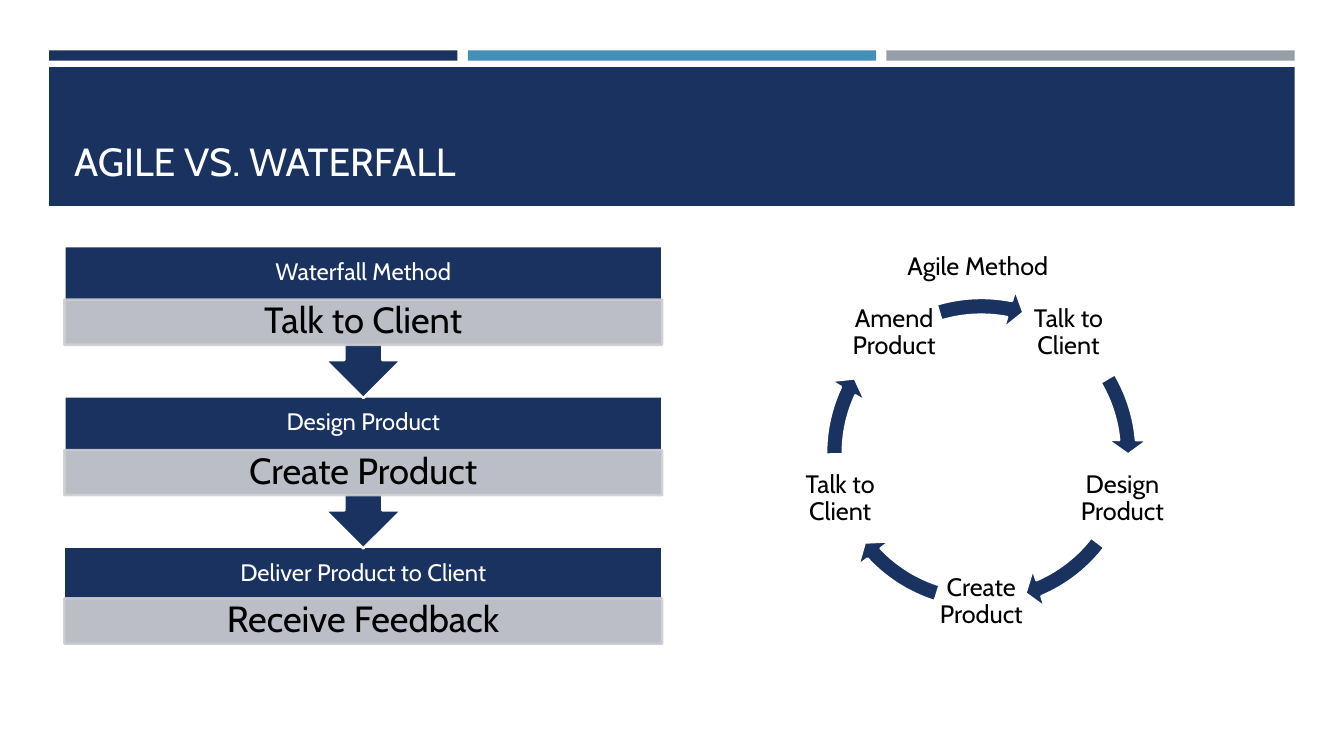
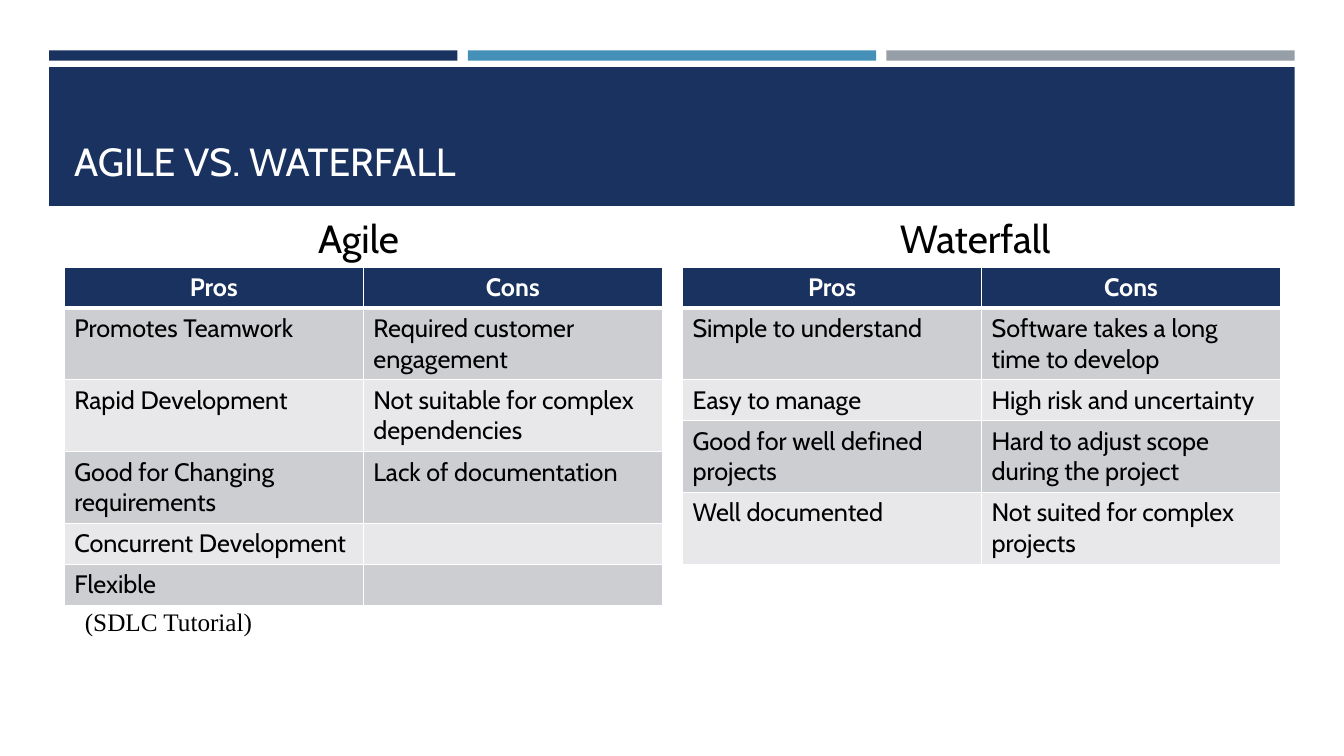
from math import cos, radians, sin

from lxml import etree
from pptx import Presentation
from pptx.dml.color import RGBColor
from pptx.enum.shapes import MSO_SHAPE
from pptx.enum.text import MSO_ANCHOR, PP_ALIGN
from pptx.oxml.ns import qn
from pptx.util import Cm, Pt

NAVY = RGBColor(0x1A, 0x32, 0x60)
BLUE = RGBColor(0x45, 0x90, 0xB8)
GRAY = RGBColor(0x96, 0x9F, 0xA7)
SILVER = RGBColor(0xCD, 0xCE, 0xD2)
PALE = RGBColor(0xE8, 0xE8, 0xEA)
WHITE = RGBColor(0xFF, 0xFF, 0xFF)
BLACK = RGBColor(0x00, 0x00, 0x00)

RECT = MSO_SHAPE.RECTANGLE
CALLOUT = MSO_SHAPE.UP_ARROW_CALLOUT
CIRCULAR = MSO_SHAPE.CIRCULAR_ARROW
LEFT, CENTER = PP_ALIGN.LEFT, PP_ALIGN.CENTER
TOP, MIDDLE, BOTTOM = MSO_ANCHOR.TOP, MSO_ANCHOR.MIDDLE, MSO_ANCHOR.BOTTOM

FONT = "Cabin"
MARGIN = 1.62
COLUMN_W = 15.07
ROW_H = 1.03
TALL_ROW_H = 1.81
LINE_CHARS = 25


def write(tf, text, size=18, color=BLACK, font=FONT, bold=False, align=LEFT, spacing=1.0):
    p = tf.paragraphs[0]
    p.alignment = align
    p.line_spacing = spacing
    r = p.add_run()
    r.text = text
    r.font.size = Pt(size)
    r.font.name = font
    r.font.bold = bold
    r.font.color.rgb = color


class Deck:
    def __init__(self):
        self.prs = Presentation()
        self.prs.slide_width = Cm(33.87)
        self.prs.slide_height = Cm(19.05)
        self.slide = None

    def new_slide(self, title):
        self.slide = self.prs.slides.add_slide(self.prs.slide_layouts[6])
        for i, color in enumerate((NAVY, BLUE, GRAY)):
            self.shape(RECT, 1.24 + 10.55 * i, 1.27, 10.29, 0.26, color)
        self.shape(RECT, 1.24, 1.69, 31.39, 3.5, NAVY)
        self.text(title, MARGIN, 2.03, 30.63, 2.74, anchor=BOTTOM, size=28, color=WHITE)

    def shape(self, kind, x, y, w, h, fill, line=None, opacity=100):
        sp = self.slide.shapes.add_shape(kind, Cm(x), Cm(y), Cm(w), Cm(h))
        sp.shadow.inherit = False
        sp.fill.solid()
        sp.fill.fore_color.rgb = fill
        if line is None:
            sp.line.fill.background()
        else:
            sp.line.color.rgb = line
            sp.line.width = Pt(1.75)
        if opacity < 100:
            for clr in sp._element.spPr.iter(qn("a:srgbClr")):
                etree.SubElement(clr, qn("a:alpha"), val=str(opacity * 1000))
        return sp

    def text(self, text, x, y, w, h, anchor=TOP, inset=(0.25, 0.13), **fmt):
        tf = self.slide.shapes.add_textbox(Cm(x), Cm(y), Cm(w), Cm(h)).text_frame
        tf.word_wrap = True
        tf.vertical_anchor = anchor
        tf.margin_left = tf.margin_right = Cm(inset[0])
        tf.margin_top = tf.margin_bottom = Cm(inset[1])
        write(tf, text, **fmt)

    def label(self, text, x, y, w, h, inset, **fmt):
        self.text(text, x, y, w, h, MIDDLE, inset, align=CENTER, spacing=0.9, **fmt)

    def step(self, y, heading, detail, last):
        if last:
            self.shape(RECT, MARGIN, y, COLUMN_W, 2.49, NAVY, WHITE)
        else:
            sp = self.shape(CALLOUT, MARGIN, y, COLUMN_W, 3.83, NAVY, WHITE)
            sp.rotation = 180
        head_h = 1.3 if last else 1.35
        self.label(heading, MARGIN, y, COLUMN_W, 1.35, (0.33, 0.33), size=17, color=WHITE)
        self.shape(RECT, MARGIN, y + head_h, COLUMN_W, 1.14, SILVER, SILVER, opacity=90)
        self.label(detail, MARGIN, y + head_h, COLUMN_W, 1.14, (0.5, 0.1), size=26)

    def cycle(self, cx, cy, stages):
        radius, box_w, box_h, ring = 3.74, 2.6, 2.24, 8.41
        for i, (stage, start, end) in enumerate(stages):
            angle = radians(72 * i - 54)
            x, y = cx + radius * cos(angle), cy + radius * sin(angle)
            self.label(stage, x - box_w / 2, y - box_h / 2, box_w, box_h, (0, 0.08))
            sp = self.shape(CIRCULAR, cx - ring / 2, cy - ring / 2, ring, ring, NAVY, WHITE)
            for k, value in enumerate((0.05, 3.36, end * 0.6, start * 0.6, 0.06)):
                sp.adjustments[k] = value

    def cell(self, cell, text, fill, bottom=1, **fmt):
        tcPr = cell._tc.get_or_add_tcPr()
        for side, width in (("L", 1), ("R", 1), ("T", 1), ("B", bottom)):
            ln = etree.SubElement(tcPr, qn("a:ln" + side), w=str(Pt(width)))
            solid = etree.SubElement(ln, qn("a:solidFill"))
            etree.SubElement(solid, qn("a:srgbClr"), val=str(WHITE))
        cell.fill.solid()
        cell.fill.fore_color.rgb = fill
        if text:
            write(cell.text_frame, text, **fmt)

    def pros_cons(self, x, rows):
        table = self.slide.shapes.add_table(
            len(rows) + 1, 2, Cm(x), Cm(6.73), Cm(COLUMN_W), Cm(ROW_H * (len(rows) + 1))
        ).table
        for c, heading in enumerate(("Pros", "Cons")):
            self.cell(table.cell(0, c), heading, NAVY, bottom=3,
                      color=WHITE, bold=True, align=CENTER)
        for i, row in enumerate(rows):
            if max(map(len, row)) > LINE_CHARS:
                table.rows[i + 1].height = Cm(TALL_ROW_H)
            for c, text in enumerate(row):
                self.cell(table.cell(i + 1, c), text, PALE if i % 2 else SILVER)


TITLE = "AGILE VS. WATERFALL"
STEPS = [
    ("Waterfall Method", "Talk to Client"),
    ("Design Product", "Create Product"),
    ("Deliver Product to Client", "Receive Feedback"),
]
STAGES = [
    ("Talk to Client", 329.4, 354.9),
    ("Design Product", 37.5, 66.9),
    ("Create Product", 107.5, 136.9),
    ("Talk to Client", 179.5, 205),
    ("Amend Product", 253.3, 281.1),
]
AGILE = [
    ("Promotes Teamwork", "Required customer engagement"),
    ("Rapid Development", "Not suitable for complex dependencies"),
    ("Good for Changing requirements", "Lack of documentation"),
    ("Concurrent Development", ""),
    ("Flexible", ""),
]
WATERFALL = [
    ("Simple to understand", "Software takes a long time to develop"),
    ("Easy to manage", "High risk and uncertainty"),
    ("Good for well defined projects", "Hard to adjust scope during the project"),
    ("Well documented", "Not suited for complex projects"),
]

deck = Deck()

deck.new_slide(TITLE)
for i, (heading, detail) in reversed(list(enumerate(STEPS))):
    deck.step(6.2 + 3.79 * i, heading, detail, last=i == len(STEPS) - 1)
deck.cycle(24.73, 11.42, STAGES)
deck.text("Agile Method", 22.62, 6.18, 6.07, 1.03)

deck.new_slide(TITLE)
deck.pros_cons(MARGIN, AGILE)
deck.pros_cons(17.2, WATERFALL)
deck.text("Agile", 7.77, 5.27, 2.77, 1.45, size=28)
deck.text("Waterfall", 22.43, 5.28, 4.57, 1.45, size=28)
deck.text("(SDLC Tutorial)", 1.89, 15.15, 5.89, 1.03, font="Times New Roman")

deck.prs.save("out.pptx")
